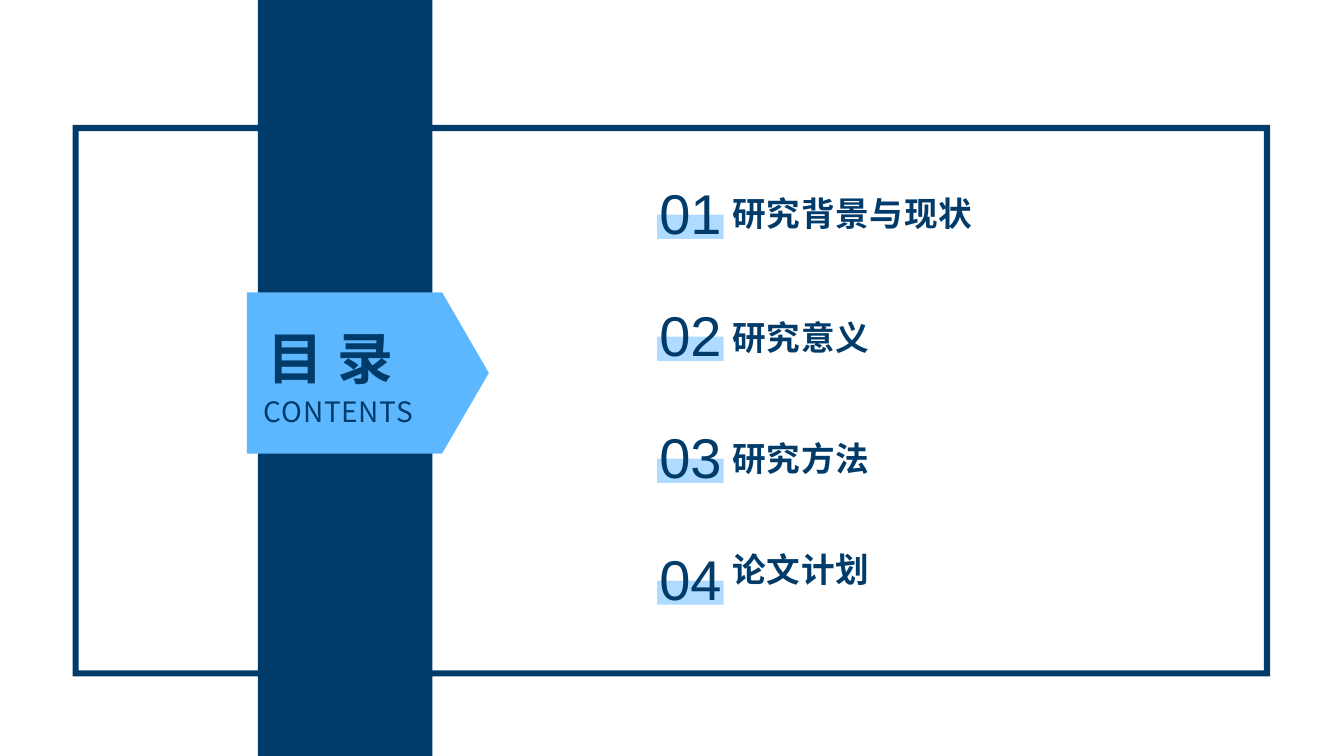
"""Build the contents slide of a thesis presentation."""
from dataclasses import dataclass

from lxml import etree
from pptx import Presentation
from pptx.dml.color import RGBColor
from pptx.enum.shapes import MSO_SHAPE
from pptx.enum.text import MSO_ANCHOR, MSO_AUTO_SIZE, PP_ALIGN
from pptx.oxml.ns import qn
from pptx.shapes.autoshape import Shape
from pptx.util import Pt

RECTANGLE, PENTAGON, FRAME = MSO_SHAPE.RECTANGLE, MSO_SHAPE.PENTAGON, MSO_SHAPE.FRAME
TOP, MIDDLE = MSO_ANCHOR.TOP, MSO_ANCHOR.MIDDLE
LEFT, CENTER, JUSTIFY = PP_ALIGN.LEFT, PP_ALIGN.CENTER, PP_ALIGN.JUSTIFY
GROW = MSO_AUTO_SIZE.SHAPE_TO_FIT_TEXT


@dataclass(frozen=True)
class Theme:
    navy: RGBColor = RGBColor(0x00, 0x3B, 0x6A)
    sky: RGBColor = RGBColor(0x5D, 0xB7, 0xFF)
    pale: RGBColor = RGBColor(0xAE, 0xDB, 0xFF)
    number_font: str = "Arial"
    text_font: str = "Noto Sans CJK SC"
    display_size: float = 40
    heading_size: float = 24
    label_size: float = 20
    tracking: int = 50


@dataclass(frozen=True)
class Box:
    left: float
    top: float
    width: float
    height: float

    def points(self) -> tuple[Pt, Pt, Pt, Pt]:
        return Pt(self.left), Pt(self.top), Pt(self.width), Pt(self.height)


@dataclass(frozen=True)
class Chapter:
    heading: str
    heading_drop: float


THEME = Theme()
SLIDE = Box(0, 0, 960, 540)
FIRST_TOP, CHAPTER_PITCH = 127.44, 87.12
CHAPTERS = (
    Chapter("研究背景与现状", 6.5),
    Chapter("研究意义", 7.9),
    Chapter("研究方法", 7.9),
    Chapter("论文计划", 0),
)


def add_block(shapes, kind: MSO_SHAPE, box: Box, color: RGBColor,
              adjustment: float | None = None) -> None:
    """Add a borderless filled shape."""
    block = shapes.add_shape(kind, *box.points())
    block.shadow.inherit = False
    block.fill.solid()
    block.fill.fore_color.rgb = color
    block.line.fill.background()
    if adjustment is not None:
        block.adjustments[0] = adjustment


def write_text(holder: Shape, text: str, *, size: float, font: str = THEME.text_font,
               bold: bool = False, tracking: int = THEME.tracking,
               align: PP_ALIGN = LEFT, anchor: MSO_ANCHOR = TOP,
               wrap: bool = True, padded: bool = True) -> None:
    """Write one formatted paragraph into a text holder."""
    frame = holder.text_frame
    frame.word_wrap = wrap
    frame.auto_size = GROW
    frame.vertical_anchor = anchor
    if not padded:
        frame.margin_left = frame.margin_right = 0
        frame.margin_top = frame.margin_bottom = 0
    paragraph = frame.paragraphs[0]
    paragraph.alignment = align
    run = paragraph.add_run()
    run.text = text
    run.font.size = Pt(size)
    run.font.bold = bold
    run.font.name = font
    run.font.color.rgb = THEME.navy
    properties = run._r.get_or_add_rPr()
    properties.set("spc", str(tracking))
    etree.SubElement(properties, qn("a:ea")).set("typeface", font)


def add_chapter(shapes, number: int, chapter: Chapter) -> None:
    """Add one numbered chapter as a group."""
    top = FIRST_TOP + (number - 1) * CHAPTER_PITCH
    entry = shapes.add_group_shape().shapes
    add_block(entry, RECTANGLE, Box(469.44, top + 25.92, 47.52, 17.28), THEME.pale)
    numeral = entry.add_textbox(*Box(460.8, top, 64.8, 48.24).points())
    write_text(numeral, f"{number:02d}", size=THEME.display_size, font=THEME.number_font,
               tracking=0, align=CENTER, anchor=MIDDLE, padded=False)
    heading = entry.add_textbox(
        *Box(516.24, top + chapter.heading_drop, 185.76, 35.28).points())
    write_text(heading, chapter.heading, size=THEME.heading_size, bold=True)


def main() -> None:
    """Build and save the slide."""
    deck = Presentation()
    deck.slide_width, deck.slide_height = Pt(SLIDE.width), Pt(SLIDE.height)
    slide = deck.slides.add_slide(deck.slide_layouts[5])
    shapes = slide.shapes

    for number, chapter in enumerate(CHAPTERS, start=1):
        add_chapter(shapes, number, chapter)

    add_block(shapes, RECTANGLE, Box(184.32, 0, 124.56, SLIDE.height), THEME.navy)
    add_block(shapes, PENTAGON, Box(176.4, 208.8, 172.8, 115.2), THEME.sky, 0.29)

    subtitle = shapes.add_textbox(*Box(181.44, 277.92, 129.6, 31.68).points())
    write_text(subtitle, "CONTENTS", size=THEME.label_size, wrap=False)

    title = shapes.title
    title.left, title.top, title.width, title.height = Box(183.6, 227.52, 126, 55.44).points()
    write_text(title, "目 录", size=THEME.display_size, bold=True, align=JUSTIFY)
    subtitle._element.addnext(title._element)

    add_block(shapes, FRAME, Box(51.84, 89.28, 855.36, 393.84), THEME.navy, 0.011)
    deck.save("out.pptx")


if __name__ == "__main__":
    main()
